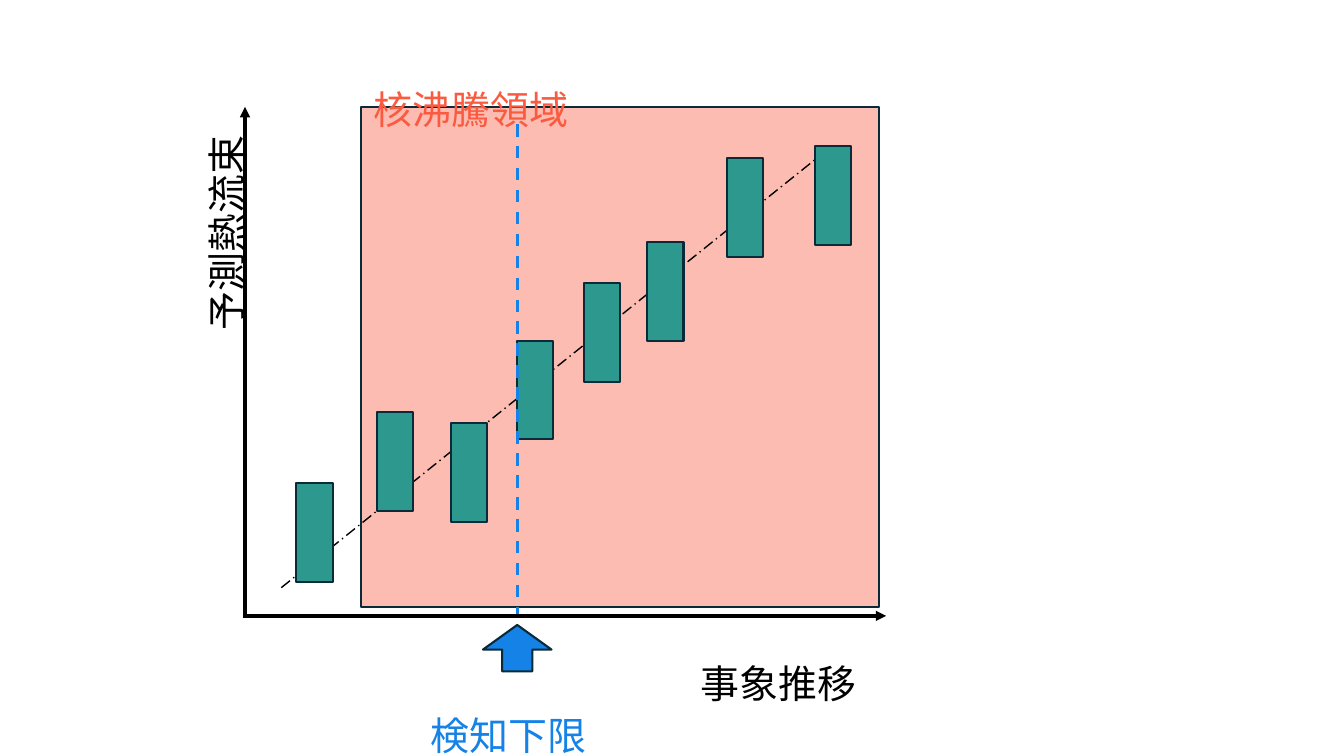
"""Build a slide sketching predicted heat flux over the course of an event."""
from dataclasses import dataclass
from typing import Optional

from lxml.etree import SubElement
from pptx import Presentation
from pptx.dml.color import RGBColor
from pptx.enum.dml import MSO_LINE_DASH_STYLE as Dash
from pptx.enum.shapes import MSO_AUTO_SHAPE_TYPE as ShapeType, MSO_CONNECTOR_TYPE as ConnectorType
from pptx.enum.text import MSO_AUTO_SIZE as AutoSize
from pptx.oxml.ns import qn
from pptx.shapes.autoshape import Shape
from pptx.slide import Slide
from pptx.util import Inches, Pt

BLACK = RGBColor(0x00, 0x00, 0x00)
OUTLINE = RGBColor(0x09, 0x2A, 0x39)
PINK = RGBColor(0xFD, 0xBC, 0xB1)
CORAL = RGBColor(0xFA, 0x5B, 0x40)
TEAL = RGBColor(0x2C, 0x98, 0x8E)
BLUE = RGBColor(0x14, 0x82, 0xE6)
FONT = "Noto Sans CJK JP"
BAR_WIDTH, BAR_HEIGHT = 0.36, 0.98


@dataclass(frozen=True)
class Block:
    left: float
    top: float
    width: float
    height: float
    fill: RGBColor
    kind: ShapeType = ShapeType.RECTANGLE


@dataclass(frozen=True)
class Line:
    start: tuple[float, float]
    end: tuple[float, float]
    color: RGBColor
    width: float
    dash: Optional[Dash] = None
    arrow: bool = False


@dataclass(frozen=True)
class Label:
    text: str
    left: float
    top: float
    width: float
    color: RGBColor
    rotation: float = 0


REGION = Block(3.58, 1.06, 5.14, 4.96, PINK)
BAR_CORNERS = [(2.94, 4.79), (3.74, 4.09), (4.47, 4.2), (5.13, 3.38),
               (5.79, 2.81), (6.42, 2.4), (7.21, 1.57), (8.08, 1.45)]
TREND = Line((2.79, 5.83), (8.25, 1.45), BLACK, 1, Dash.LONG_DASH_DOT)
THRESHOLD = Line((5.13, 1.23), (5.13, 6.11), BLUE, 2.25, Dash.DASH)
THRESHOLD_ARROW = Block(4.9, 6.09, 0.46, 0.68, BLUE, ShapeType.RIGHT_ARROW)
AXES = [
    Line((2.41, 6.11), (8.79, 6.11), BLACK, 2.5, arrow=True),
    Line((2.43, 6.11), (2.43, 1.06), BLACK, 2.5, arrow=True),
]
LABELS = [
    Label("事象推移", 6.85, 6.41, 2.46, BLACK),
    Label("予測熱流束", 0.92, 1.78, 2.55, BLACK, 270),
    Label("核沸騰領域", 3.61, 0.72, 2.58, CORAL),
    Label("検知下限", 4.17, 6.93, 2.46, BLUE),
]


def draw_block(slide: Slide, block: Block) -> Shape:
    """Draw a filled, outlined shape."""
    shape = slide.shapes.add_shape(block.kind, Inches(block.left), Inches(block.top),
                                   Inches(block.width), Inches(block.height))
    shape.shadow.inherit = False
    shape.fill.solid()
    shape.fill.fore_color.rgb = block.fill
    shape.line.color.rgb = OUTLINE
    shape.line.width = Pt(1.5)
    return shape


def draw_line(slide: Slide, line: Line) -> None:
    """Draw a straight line, dashed or arrowed as described."""
    points = [Inches(value) for value in (*line.start, *line.end)]
    connector = slide.shapes.add_connector(ConnectorType.STRAIGHT, *points)
    connector.line.color.rgb = line.color
    connector.line.width = Pt(line.width)
    if line.dash is not None:
        connector.line.dash_style = line.dash
    properties = connector._element.spPr
    if line.arrow:
        SubElement(properties.find(qn("a:ln")), qn("a:tailEnd"), type="triangle")
    SubElement(properties, qn("a:effectLst"))


def draw_label(slide: Slide, label: Label) -> None:
    """Draw a raised-baseline text label."""
    box = slide.shapes.add_textbox(Inches(label.left), Inches(label.top),
                                   Inches(label.width), Inches(0.64))
    box.rotation = label.rotation
    text_frame = box.text_frame
    text_frame.word_wrap = True
    text_frame.auto_size = AutoSize.SHAPE_TO_FIT_TEXT
    text_frame.text = label.text
    run = text_frame.paragraphs[0].runs[0]
    run.font.size = Pt(48)
    run.font.color.rgb = label.color
    run.font.name = FONT
    properties = run._r.get_or_add_rPr()
    properties.set("baseline", "30000")
    SubElement(properties, qn("a:ea"), typeface=FONT)


def main() -> None:
    """Assemble and save the slide."""
    presentation = Presentation()
    presentation.slide_width = Inches(13.33)
    presentation.slide_height = Inches(7.5)
    slide = presentation.slides.add_slide(presentation.slide_layouts[6])
    draw_block(slide, REGION)
    draw_line(slide, TREND)
    for left, top in BAR_CORNERS:
        draw_block(slide, Block(left, top, BAR_WIDTH, BAR_HEIGHT, TEAL))
    draw_line(slide, THRESHOLD)
    arrow = draw_block(slide, THRESHOLD_ARROW)
    arrow.rotation = 270
    arrow.adjustments[0] = 0.44
    arrow.adjustments[1] = 0.53
    for axis in AXES:
        draw_line(slide, axis)
    for label in LABELS:
        draw_label(slide, label)
    presentation.save("out.pptx")


if __name__ == "__main__":
    main()
